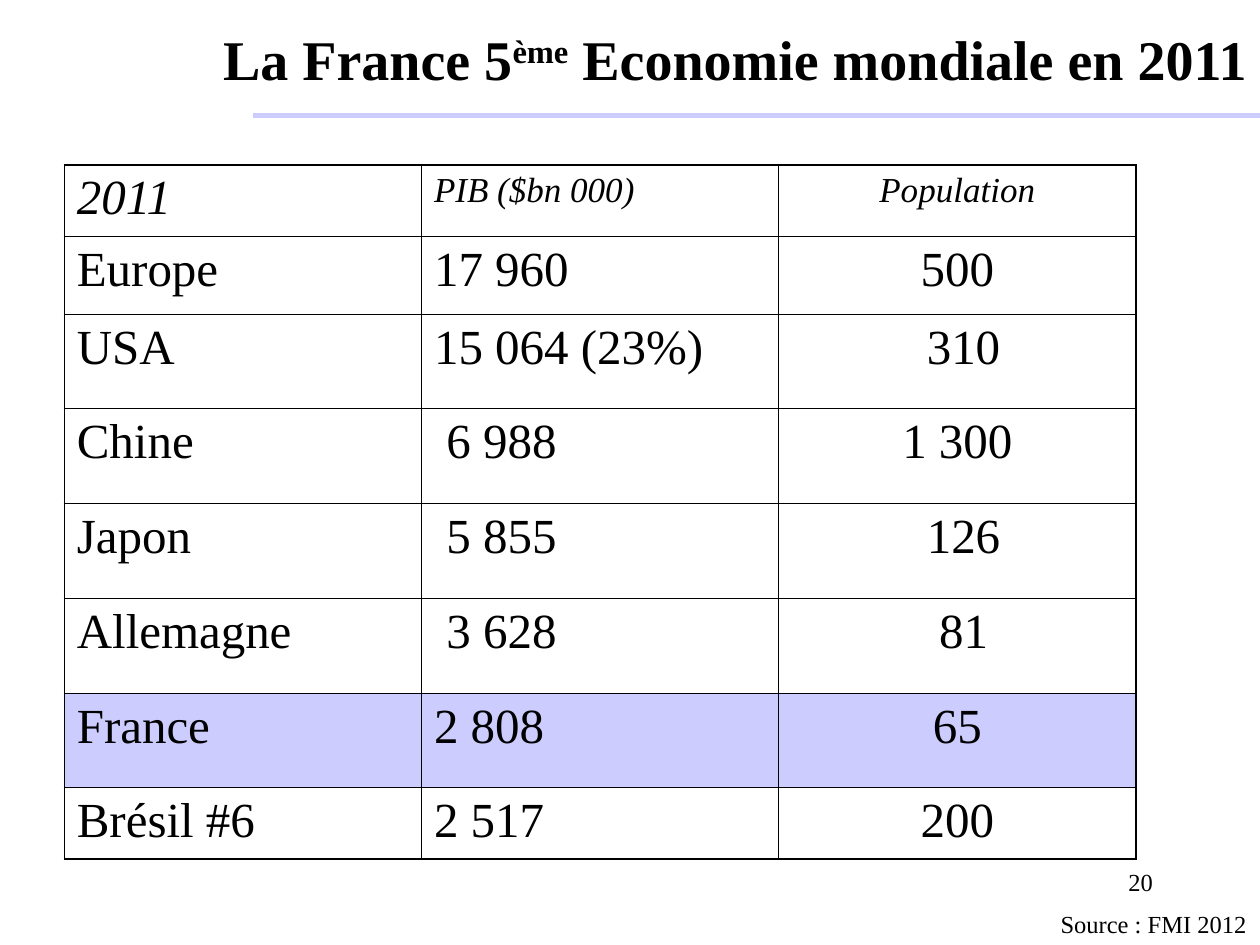
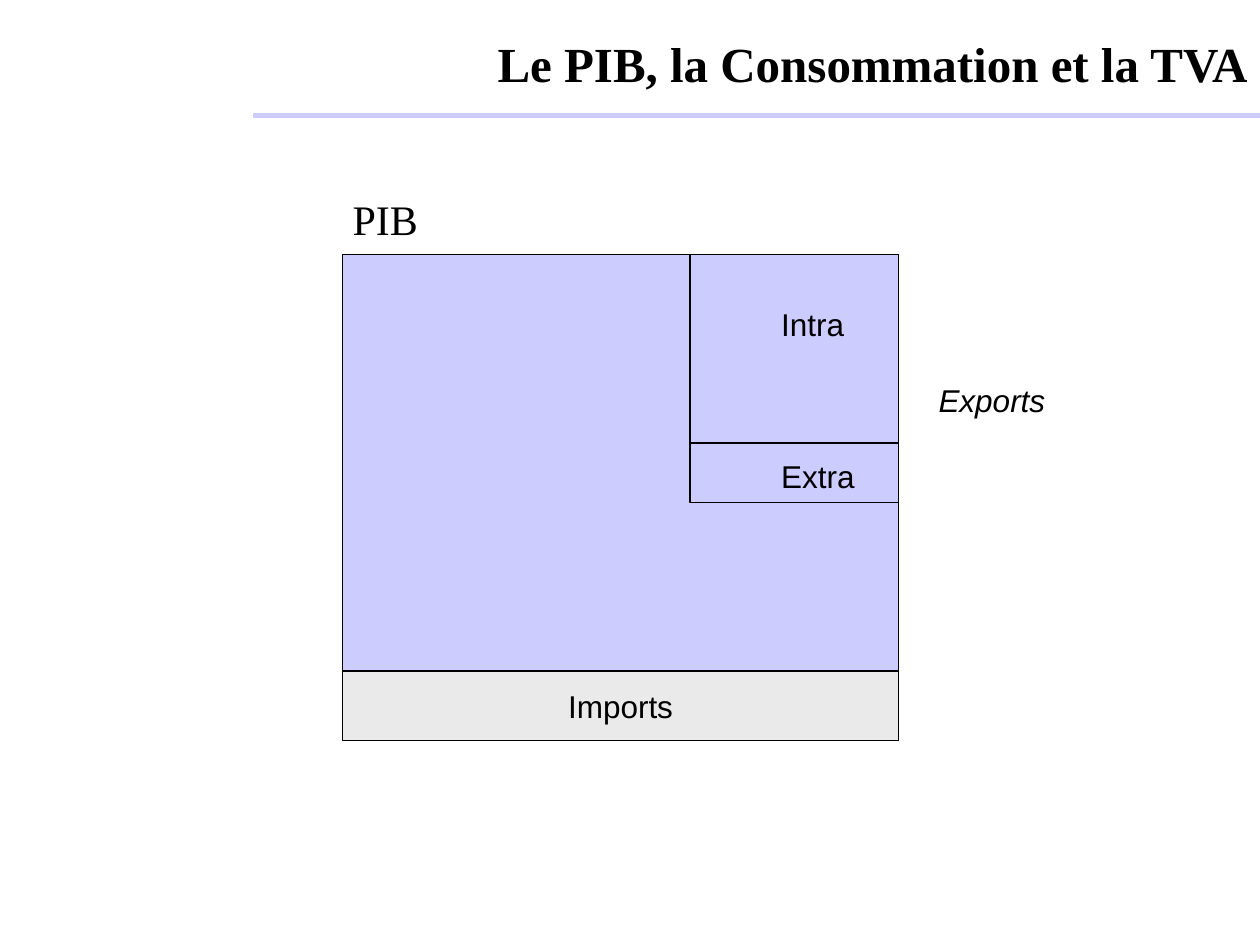
"""Build two slides on French GDP: a world ranking table and a block diagram."""
from dataclasses import dataclass

from lxml.etree import SubElement
from pptx import Presentation
from pptx.dml.color import RGBColor
from pptx.enum.shapes import MSO_CONNECTOR, MSO_SHAPE
from pptx.enum.text import MSO_ANCHOR, MSO_AUTO_SIZE, PP_ALIGN
from pptx.oxml.ns import qn
from pptx.util import Cm, Pt


@dataclass(frozen=True)
class Theme:
    ink: RGBColor = RGBColor(0, 0, 0)
    paper: RGBColor = RGBColor(255, 255, 255)
    lilac: RGBColor = RGBColor(0xCC, 0xCC, 0xFF)
    grey: RGBColor = RGBColor(0xEA, 0xEA, 0xEA)
    serif: str = "Times New Roman"
    sans: str = "Arial"
    title: int = 32
    large: int = 28
    lead: int = 24
    head: int = 20
    label: int = 18
    note: int = 14
    rule: float = 3
    edge: float = 0.75
    thin: float = 0.45
    thick: float = 1.08


class Deck:
    def __init__(self, theme):
        self.theme = theme
        self.show = Presentation()
        self.show.slide_width, self.show.slide_height = Cm(25.4), Cm(19.05)
        self.slide = None

    def style(self, para, size, face=None, align=PP_ALIGN.LEFT, bold=False, slant=False):
        para.alignment = align
        font = para.font
        font.size, font.name = Pt(size), face or self.theme.serif
        font.bold, font.italic = bold, slant
        font.color.rgb = self.theme.ink

    def page(self, parts, size, left, top):
        self.slide = self.show.slides.add_slide(self.show.slide_layouts[5])
        self.rule()
        title = self.slide.shapes.title
        title.left, title.top = Cm(left), Cm(top)
        title.width, title.height = Cm(25.4 - left), Cm(1.47)
        frame = title.text_frame
        frame.auto_size = MSO_AUTO_SIZE.NONE
        frame.vertical_anchor = MSO_ANCHOR.MIDDLE
        para = frame.paragraphs[0]
        for text, raised in parts:
            run = para.add_run()
            run.text = text
            if raised:
                run._r.get_or_add_rPr().set("baseline", "30000")
        self.style(para, size, align=PP_ALIGN.RIGHT, bold=True)

    def rule(self):
        line = self.slide.shapes.add_connector(
            MSO_CONNECTOR.STRAIGHT, Cm(5.1), Cm(2.33), Cm(25.4), Cm(2.33))
        line.line.color.rgb = self.theme.lilac
        line.line.width = Pt(self.theme.rule)
        SubElement(line._element.spPr, qn("a:effectLst"))

    def text(self, words, left, top, width, height, size, wrap=False, **look):
        box = self.slide.shapes.add_textbox(Cm(left), Cm(top), Cm(width), Cm(height))
        box.text_frame.word_wrap = wrap
        para = box.text_frame.paragraphs[0]
        para.text = words
        self.style(para, size, **look)

    def block(self, left, top, width, height, fill, words=""):
        box = self.slide.shapes.add_shape(
            MSO_SHAPE.RECTANGLE, Cm(left), Cm(top), Cm(width), Cm(height))
        box.shadow.inherit = False
        box.fill.solid()
        box.fill.fore_color.rgb = fill
        box.line.color.rgb = self.theme.ink
        box.line.width = Pt(self.theme.edge)
        if words:
            box.text_frame.word_wrap = False
            para = box.text_frame.paragraphs[0]
            para.text = words
            self.style(para, self.theme.label, self.theme.sans, PP_ALIGN.CENTER)

    def border(self, cell, outer):
        props = cell._tc.get_or_add_tcPr()
        for side in "LRTB":
            width = self.theme.thick if side in outer else self.theme.thin
            line = SubElement(props, qn(f"a:ln{side}"), w=str(Pt(width)))
            fill = SubElement(line, qn("a:solidFill"))
            SubElement(fill, qn("a:srgbClr"), val=str(self.theme.ink))

    def table(self, rows, tall, wide, left, top, chosen):
        last, end = len(rows) - 1, len(wide) - 1
        grid = self.slide.shapes.add_table(
            len(rows), len(wide), Cm(left), Cm(top), Cm(sum(wide)), Cm(sum(tall))).table
        grid.first_row = grid.horz_banding = False
        for col, width in zip(grid.columns, wide):
            col.width = Cm(width)
        for r, (row, height) in enumerate(zip(rows, tall)):
            grid.rows[r].height = Cm(height)
            for c, (words, shift) in enumerate(row):
                cell = grid.cell(r, c)
                edges = {"T": r == 0, "B": r == last, "L": c == 0, "R": c == end}
                self.border(cell, [side for side, outer in edges.items() if outer])
                cell.fill.solid()
                cell.fill.fore_color.rgb = self.theme.lilac if r == chosen else self.theme.paper
                cell.margin_left = Cm(0.25 + shift)
                para = cell.text_frame.paragraphs[0]
                para.text = words
                size = self.theme.head if r == 0 and c else self.theme.large
                align = PP_ALIGN.CENTER if c == end else PP_ALIGN.LEFT
                self.style(para, size, align=align, slant=r == 0)


def rank(deck):
    theme = deck.theme
    deck.page([("La France 5", False), ("ème", True), (" Economie mondiale en 2011", False)],
              theme.title, 3.81, 0.43)
    deck.text("20", 18.21, 17.35, 5.28, 1.27, theme.note, wrap=True, align=PP_ALIGN.RIGHT)
    step = 0.25
    rows = [
        [("2011", 0), ("PIB ($bn 000)", 0), ("Population", 0)],
        [("Europe", 0), ("17 960", 0), ("500", 0)],
        [("USA", 0), ("15 064 (23%)", 0), ("310", step)],
        [("Chine", 0), ("6 988", step), ("1 300", 0)],
        [("Japon", 0), ("5 855", step), ("126", step)],
        [("Allemagne", 0), ("3 628", step), ("81", step)],
        [("France", 0), ("2 808", 0), ("65", 0)],
        [("Brésil #6", 0), ("2 517", 0), ("200", 0)],
    ]
    tall = [1.44, 1.57] + [1.91] * 5 + [1.44]
    deck.table(rows, tall, [7.2] * 3, 1.3, 3.32, chosen=6)
    deck.text("Source : FMI 2012", 21.13, 18.21, 4.27, 0.86, theme.note)


def trade(deck):
    theme = deck.theme
    deck.page([("Le PIB, la Consommation et la TVA", False)], theme.large, 0.69, 0.53)
    left, top, width, height = 6.91, 5.13, 11.2, 8.4
    part = 4.2
    inner = left + width - part
    deck.block(left, top, width, height, theme.lilac)
    deck.block(inner, top + 0.2, part, 4.8, theme.lilac)
    deck.block(inner, top, part, 3.8, theme.lilac)
    labels = [("Intra", 15.5, False), ("Exports", 18.67, True), ("Extra", 15.5, False)]
    for i, (words, x, slant) in enumerate(labels):
        deck.text(words, x, 6.02 + 1.53 * i, 2.7, 0.98, theme.label,
                  face=theme.sans, slant=slant)
    deck.block(left, top + height, width, 1.4, theme.grey, "Imports")
    deck.text("PIB", 6.86, 3.78, 1.83, 1.27, theme.lead)


def main():
    deck = Deck(Theme())
    rank(deck)
    trade(deck)
    deck.show.save("out.pptx")


if __name__ == "__main__":
    main()
